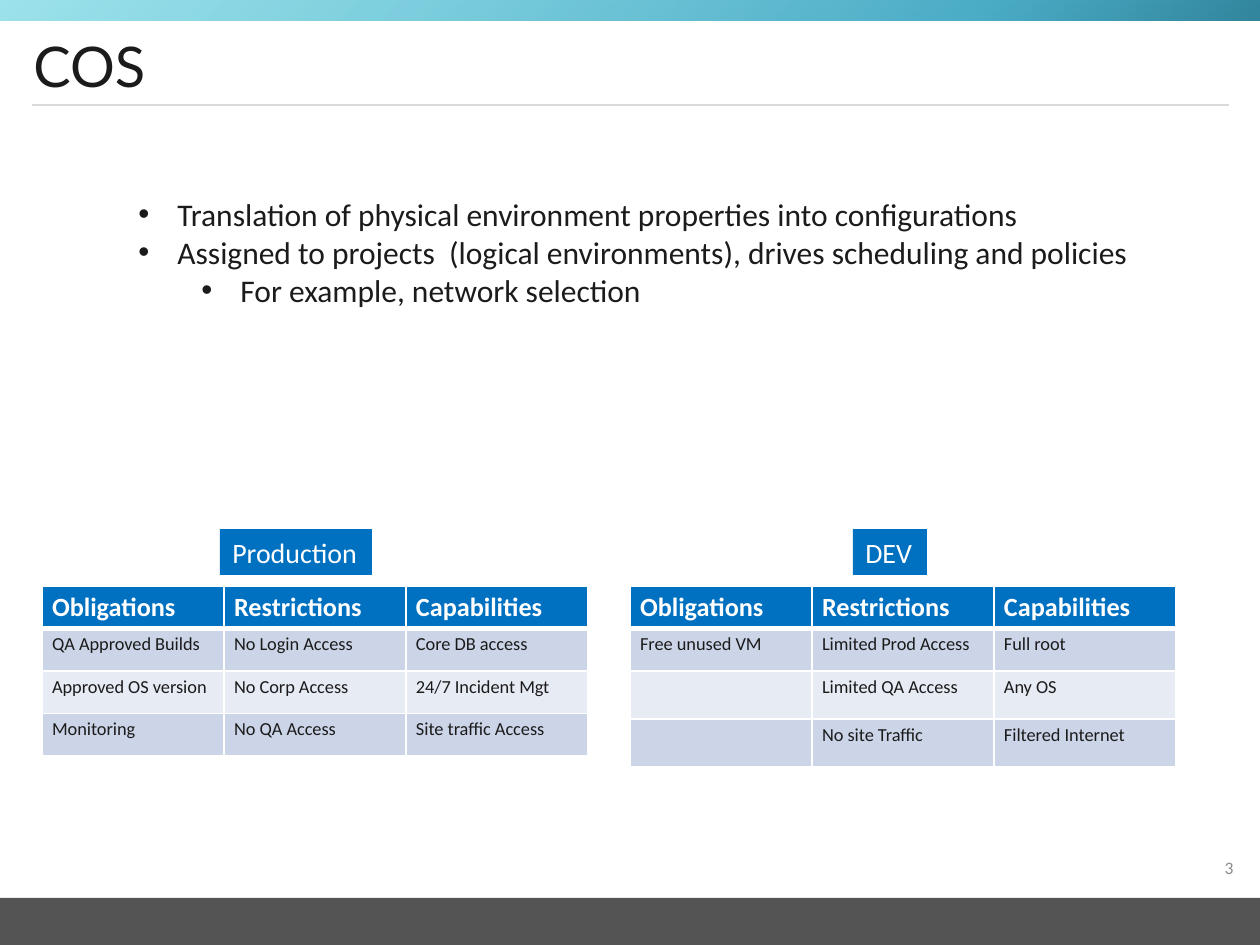
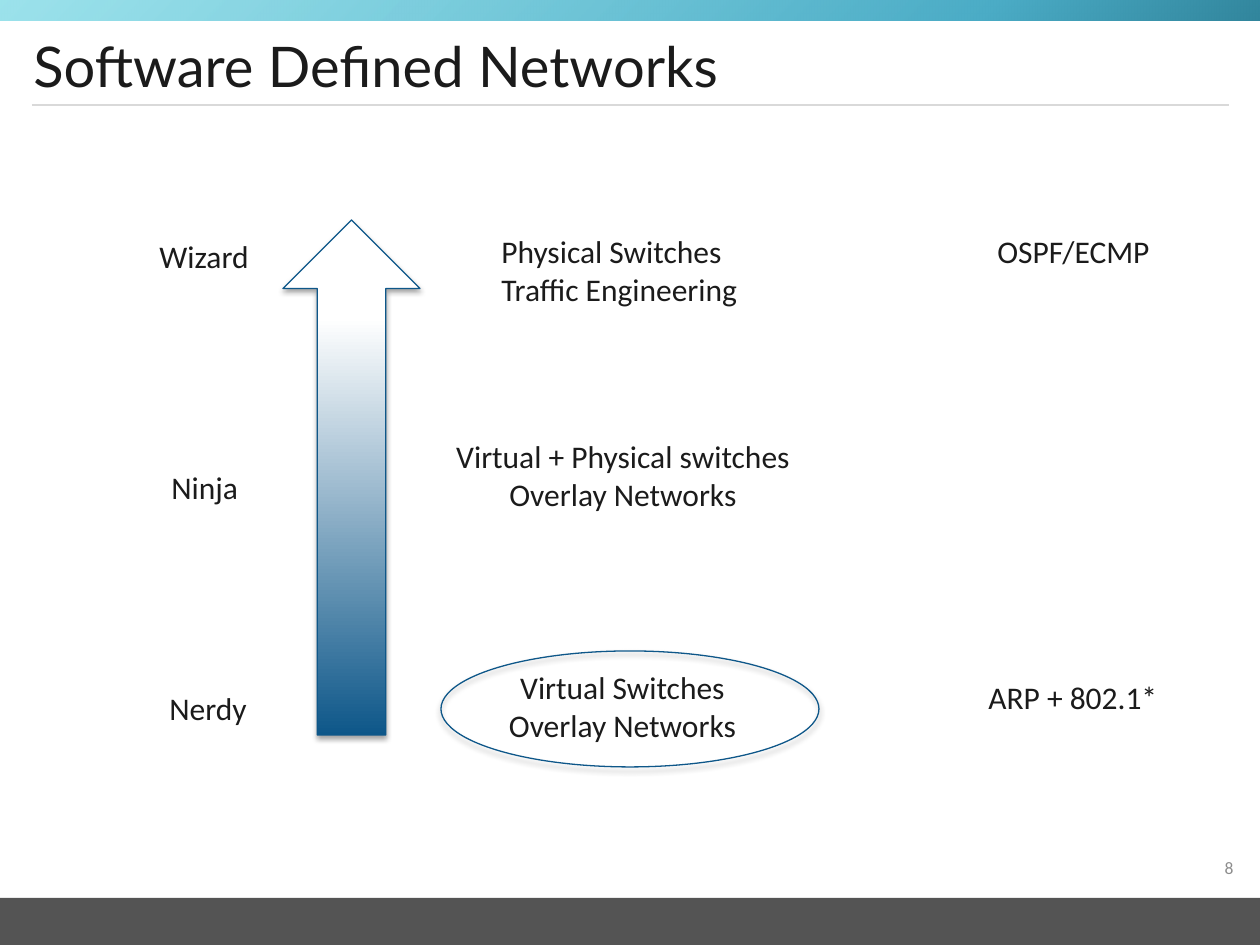
from lxml import etree
from pptx import Presentation
from pptx import util as u
from pptx.dml.color import RGBColor
from pptx.enum import shapes, text
from pptx.oxml import ns

PX = 914400 // 126  # EMU per pixel
INK, BLUE, NAVY, WHITE = "1B1B1B", "0070C0", "0E5789", "FFFFFF"
BAND_DARK, BAND_LIGHT = "CCD5E8", "E7EBF4"
BODY_FONT, TITLE_FONT = "Calibri", "Lato"


def px(*lengths):
    return [round(length * PX) for length in lengths]


def rgb(value):
    return RGBColor.from_string(value)


def xml(markup):
    tag, rest = markup[:markup.index(">")], markup[markup.index(">"):]
    if tag.endswith("/"):
        tag, rest = tag[:-1], "/" + rest
    return etree.fromstring(f"{tag} {ns.nsdecls('a')}{rest}")


def write(frame, lines, size=18, color=INK, font=BODY_FONT, bold=False,
          align=text.PP_ALIGN.LEFT, anchor=text.MSO_ANCHOR.TOP, wrap=False,
          levels=None):
    """Fill a text frame; levels turns the lines into indented bullets."""
    frame.word_wrap = wrap
    frame.vertical_anchor = anchor
    for i, line in enumerate(lines):
        para = frame.paragraphs[0] if i == 0 else frame.add_paragraph()
        para.alignment = align
        run = para.add_run()
        run.text = line
        run.font.size, run.font.name, run.font.bold = u.Pt(size), font, bold
        run.font.color.rgb = rgb(color)
        if levels:
            para.level = levels[i]
            props = para._p.get_or_add_pPr()
            props.set("marL", str(u.Inches(0.31 + 0.5 * levels[i])))
            props.set("indent", str(-u.Inches(0.31)))
            props.append(xml('<a:buFont typeface="Arial"/>'))
            props.append(xml('<a:buChar char="&#8226;"/>'))


class Deck:
    def __init__(self):
        self.prs = Presentation()
        self.prs.slide_width, self.prs.slide_height = px(1260, 945)
        self.slide = None

    def new_slide(self, title, number):
        """Start a slide with the shared bands, title, rule and number."""
        self.slide = self.prs.slides.add_slide(self.prs.slide_layouts[6])
        self.shape(0, 898, 1260, 47, fill="545454")
        self.gradient(
            self.shape(0, 0, 1260, 21),
            [(0, "7EDAE6", 76), (78, "4BACC6", 100), (100, "31859C", 100)],
            '<a:path path="circle"><a:fillToRect r="100000" b="100000"/></a:path>')
        self.rule(32, 105, 1229, 105)
        self.label(21, 21, 1218, 88, title, size=32, font=TITLE_FONT,
                   anchor=text.MSO_ANCHOR.MIDDLE, wrap=True)
        self.label(1206, 848, 46, 40, str(number), size=10, color="8D8D8D",
                   align=text.PP_ALIGN.CENTER, anchor=text.MSO_ANCHOR.MIDDLE)

    def shape(self, x, y, w, h, kind=shapes.MSO_SHAPE.RECTANGLE,
              fill=None, line=None, shadow=False):
        item = self.slide.shapes.add_shape(kind, *px(x, y, w, h))
        item.shadow.inherit = False
        if fill:
            item.fill.solid()
            item.fill.fore_color.rgb = rgb(fill)
        else:
            item.fill.background()
        if line:
            item.line.color.rgb = rgb(line)
            item.line.width = u.Pt(0.75)
        else:
            item.line.fill.background()
        if shadow:
            item._element.spPr.find(ns.qn("a:effectLst")).append(xml(
                f'<a:outerShdw blurRad="{u.Pt(3.1)}" dist="{u.Pt(1.8)}" '
                'dir="5400000" rotWithShape="0"><a:srgbClr val="000000">'
                '<a:alpha val="35000"/></a:srgbClr></a:outerShdw>'))
        return item

    def gradient(self, item, stops, direction):
        """Replace an empty fill by a gradient of (percent, colour, opacity)."""
        marks = "".join(
            f'<a:gs pos="{pos * 1000}"><a:srgbClr val="{color}">'
            f'<a:alpha val="{alpha * 1000}"/></a:srgbClr></a:gs>'
            for pos, color, alpha in stops)
        props = item._element.spPr
        props.replace(props.find(ns.qn("a:noFill")), xml(
            f'<a:gradFill rotWithShape="1"><a:gsLst>{marks}</a:gsLst>'
            f'{direction}</a:gradFill>'))

    def rule(self, x1, y1, x2, y2):
        line = self.slide.shapes.add_connector(
            shapes.MSO_CONNECTOR.STRAIGHT, *px(x1, y1, x2, y2))
        line.line.color.rgb = rgb("D9D9D9")
        line.line.width = u.Pt(0.75)
        line._element.spPr.append(xml("<a:effectLst/>"))

    def label(self, x, y, w, h, *lines, **style):
        box = self.slide.shapes.add_textbox(*px(x, y, w, h))
        write(box.text_frame, lines, **style)

    def tag(self, x, y, w, h, caption):
        write(self.shape(x, y, w, h, fill=BLUE).text_frame, [caption],
              size=16, color=WHITE)

    def table(self, x, y, w, h, rows):
        grid = self.slide.shapes.add_table(
            len(rows), len(rows[0]), *px(x, y, w, h)).table
        for r, row in enumerate(rows):
            head = r == 0
            for c, words in enumerate(row):
                cell = grid.cell(r, c)
                cell.margin_left = cell.margin_right = u.Inches(0.08)
                cell.margin_top = cell.margin_bottom = u.Inches(0.04)
                cell.fill.solid()
                cell.fill.fore_color.rgb = rgb(
                    BLUE if head else BAND_DARK if r % 2 else BAND_LIGHT)
                write(cell.text_frame, [words], size=15 if head else 10.5,
                      color=WHITE if head else INK, bold=head, wrap=True)
                self.borders(cell, top=3 if r == 1 else 1, bottom=3 if head else 1)

    def borders(self, cell, top, bottom):
        props = cell._tc.get_or_add_tcPr()
        for i, (side, width) in enumerate(zip("LRTB", (1, 1, top, bottom))):
            props.insert(i, xml(
                f'<a:ln{side} w="{u.Pt(width)}"><a:solidFill>'
                f'<a:srgbClr val="{WHITE}"/></a:solidFill></a:ln{side}>'))


deck = Deck()

# Classes of service: what each environment owes, forbids and allows
deck.new_slide("COS", 3)
HEADINGS = ["Obligations", "Restrictions", "Capabilities"]
production = [
    ["QA Approved Builds", "No Login Access", "Core DB access"],
    ["Approved OS version", "No Corp Access", "24/7 Incident Mgt"],
    ["Monitoring", "No QA Access", "Site traffic Access"]]
development = [
    ["Free unused VM", "Limited Prod Access", "Full root"],
    ["", "Limited QA Access", "Any OS"],
    ["", "No site Traffic", "Filtered Internet"]]
for table_x, tag_x, tag_w, name, policies in (
        (42, 220, 152, "Production", production),
        (630, 853, 74, "DEV", development)):
    deck.table(table_x, 586, 546, 170, [HEADINGS] + policies)
    deck.tag(tag_x, 529, tag_w, 46, name)
deck.label(
    126, 189, 1027, 127,
    "Translation of physical environment properties into configurations",
    "Assigned to projects  (logical environments), drives scheduling and policies",
    "For example, network selection", levels=[0, 0, 1])

# Network skill levels, from nerdy up to wizard
deck.new_slide("Software Defined Networks", 8)
deck.shape(441, 651, 378, 116, shapes.MSO_SHAPE.OVAL, line=NAVY, shadow=True)
skill_arrow = deck.shape(283, 220, 137, 515, shapes.MSO_SHAPE.UP_ARROW,
                         line=NAVY, shadow=True)
deck.gradient(skill_arrow, [(0, NAVY, 100), (81, WHITE, 100)],
              '<a:lin ang="16200000" scaled="0"/>')
for x, y, w, level in ((147, 231, 117, "Wizard"), (159, 462, 93, "Ninja"),
                       (157, 683, 105, "Nerdy")):
    deck.label(x, y, w, 50, level)
CENTER = text.PP_ALIGN.CENTER
deck.label(489, 226, 267, 89, "Physical Switches", "Traffic Engineering")
deck.label(441, 431, 364, 89, "Virtual + Physical switches",
           "Overlay Networks", align=CENTER)
deck.label(494, 662, 257, 89, "Virtual Switches", "Overlay Networks",
           align=CENTER)
deck.label(985, 226, 180, 50, "OSPF/ECMP")
deck.label(976, 672, 197, 50, "ARP + 802.1*")

deck.prs.save("out.pptx")
